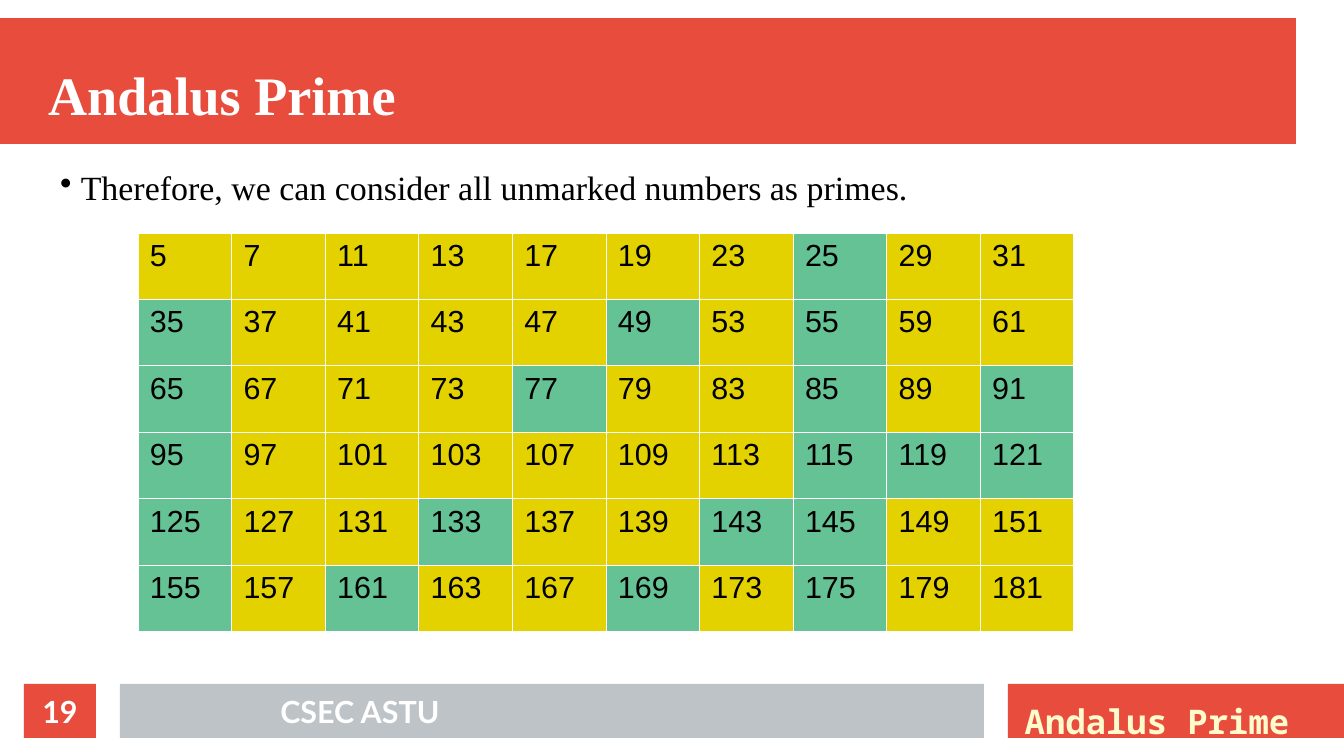
from lxml import etree
from pptx import Presentation
from pptx import util as u
from pptx.dml.color import RGBColor
from pptx.enum import text
from pptx.oxml import ns

WIDTH, HEIGHT = u.Inches(11.02), u.Inches(6.2)
GRID_COLUMNS, GRID_ROWS = 56, 63
COLORS = {
    "red": "E74C3C", "gray": "BDC3C7", "white": "FFFFFF", "cream": "FFFBCC",
    "black": "000000", "prime": "E3D200", "marked": "65C295",
}
FORMATS = {
    "title": {"size": u.Pt(32), "name": "Times New Roman", "bold": True},
    "body": {"size": u.Pt(20), "name": "Times New Roman"},
    "topic": {"size": u.Pt(20), "name": "Noto Sans Mono", "bold": True},
    "footer": {"size": u.Pt(18), "name": "Lato", "bold": True},
    "number": {"size": u.Pt(18), "name": "Arial"},
}
CENTERED = {"vertical_anchor": text.MSO_ANCHOR.MIDDLE, "margin_left": 0,
            "margin_right": 0, "margin_top": 0, "margin_bottom": 0}
NUMBER_ROWS, NUMBER_COLUMNS = 6, 10


def place(column, row, columns, rows):
    return (round(WIDTH * column / GRID_COLUMNS), round(HEIGHT * row / GRID_ROWS),
            round(WIDTH * columns / GRID_COLUMNS), round(HEIGHT * rows / GRID_ROWS))


def apply(target, values):
    for name, value in values.items():
        setattr(target, name, value)


def paint(fill, color):
    fill.solid()
    fill.fore_color.rgb = RGBColor.from_string(COLORS[color])


def write(frame, wording, style, color, align=text.PP_ALIGN.LEFT, frame_format=None):
    apply(frame, {"word_wrap": True, **(frame_format or {})})
    paragraph = frame.paragraphs[0]
    paragraph.alignment = align
    run = paragraph.add_run()
    run.text = wording
    apply(run.font, FORMATS[style])
    run.font.color.rgb = RGBColor.from_string(COLORS[color])


def add_bar(slide, area, color):
    bar = slide.shapes.add_shape(1, *place(*area))
    bar.shadow.inherit = False
    paint(bar.fill, color)
    bar.line.fill.background()
    return bar


def add_text(slide, area, *content, **layout):
    frame = slide.shapes.add_textbox(*place(*area)).text_frame
    write(frame, *content, **layout)
    return frame


def set_title(slide, area, wording):
    title = slide.shapes.title
    title.left, title.top, title.width, title.height = place(*area)
    write(title.text_frame, wording, "title", "white", frame_format={
        **CENTERED, "vertical_anchor": text.MSO_ANCHOR.BOTTOM,
        "auto_size": text.MSO_AUTO_SIZE.NONE})
    title._element.getparent().append(title._element)


def add_bullet(paragraph, indent):
    properties = paragraph._p.get_or_add_pPr()
    properties.set("marL", str(indent))
    properties.set("indent", str(-indent))
    etree.SubElement(properties, ns.qn("a:buChar")).set("char", "•")


def add_borders(cell):
    properties = cell._tc.get_or_add_tcPr()
    for position, side in enumerate(("lnL", "lnR", "lnT", "lnB")):
        line = etree.Element(ns.qn(f"a:{side}"), w=str(u.Pt(0.06)))
        fill = etree.SubElement(line, ns.qn("a:solidFill"))
        etree.SubElement(fill, ns.qn("a:srgbClr"), val=COLORS["white"])
        properties.insert(position, line)


def is_prime(number):
    return all(number % divisor for divisor in range(2, int(number ** 0.5) + 1))


def add_number_table(slide, area):
    table = slide.shapes.add_table(NUMBER_ROWS, NUMBER_COLUMNS, *place(*area)).table
    apply(table, {"first_row": False, "horz_banding": False})
    for index, cell in enumerate(table.iter_cells()):
        number = 6 * (index // 2 + 1) + (1 if index % 2 else -1)
        write(cell.text_frame, str(number), "number", "black")
        paint(cell.fill, "prime" if is_prime(number) else "marked")
        add_borders(cell)


def main():
    deck = Presentation()
    apply(deck, {"slide_width": WIDTH, "slide_height": HEIGHT})
    slide = deck.slides.add_slide(deck.slide_layouts[5])

    add_bar(slide, (0, 1.5, 54, 10.5), "red")
    add_bar(slide, (42, 57, 14, 4.5), "red")
    add_bar(slide, (5, 57, 36, 4.5), "gray")
    set_title(slide, (2, 3, 52, 7.5), "Andalus Prime")
    add_text(slide, (42.2, 57.9, 13.2, 4.3), "Andalus Prime", "topic", "cream")
    add_number_table(slide, (5.74, 19.4, 39, 33.2))

    conclusion = add_text(slide, (2, 13.4, 52.5, 4.9),
                          "Therefore, we can consider all unmarked numbers as primes.",
                          "body", "black")
    add_bullet(conclusion.paragraphs[0], u.Inches(0.17))

    add_text(slide, (6, 57, 18, 4.5), "CSEC ASTU", "footer", "white",
             align=text.PP_ALIGN.CENTER, frame_format=CENTERED)
    page = add_bar(slide, (1, 57, 3, 4.5), "red")
    write(page.text_frame, "19", "footer", "white", text.PP_ALIGN.CENTER, CENTERED)
    deck.save("out.pptx")


if __name__ == "__main__":
    main()
